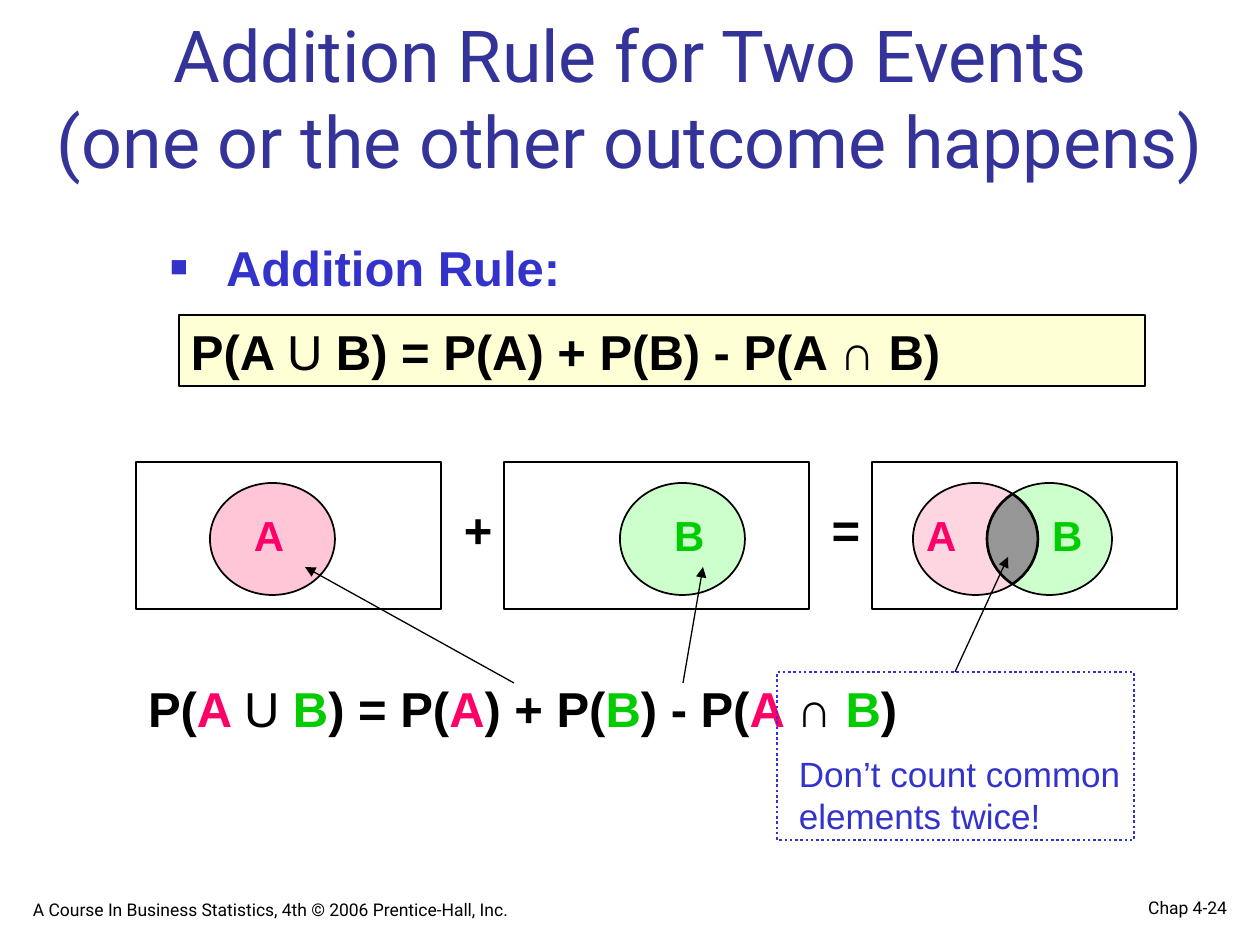
import math

from lxml import etree
from pptx import Presentation
from pptx.dml.color import RGBColor
from pptx.enum.dml import MSO_LINE
from pptx.enum.shapes import MSO_CONNECTOR, MSO_SHAPE
from pptx.enum.text import MSO_ANCHOR, MSO_AUTO_SIZE, PP_ALIGN
from pptx.oxml.ns import qn
from pptx.util import Emu, Pt

STRAIGHT = MSO_CONNECTOR.STRAIGHT
RECT, OVAL = MSO_SHAPE.RECTANGLE, MSO_SHAPE.OVAL
DOTTED = MSO_LINE.ROUND_DOT
TOP, BOTTOM = MSO_ANCHOR.TOP, MSO_ANCHOR.BOTTOM
LEFT, CENTER, RIGHT = PP_ALIGN.LEFT, PP_ALIGN.CENTER, PP_ALIGN.RIGHT

BLACK = RGBColor(0x00, 0x00, 0x00)
NAVY = RGBColor(0x33, 0x33, 0x99)
BLUE = RGBColor(0x33, 0x33, 0xCC)
CREAM = RGBColor(0xFF, 0xFF, 0xD5)
PINK = RGBColor(0xFE, 0xC6, 0xD6)
MINT = RGBColor(0xCC, 0xFF, 0xCC)
GRAY = RGBColor(0x96, 0x96, 0x96)
RED = RGBColor(0xFF, 0x00, 0x66)
GREEN = RGBColor(0x00, 0xCC, 0x00)

EVENT_W, EVENT_H = 125, 112
EVENT_TOP, LABEL_TOP = 21, 42
FRAME_W, FRAME_H, FRAME_STEP = 305, 147, 368


def px(length):
    return Emu(round(length * 914400 / 126))


def place(shape, box):
    shape.left, shape.top, shape.width, shape.height = map(px, box)


def add_run(paragraph, words, size, color, bold=False, face="Arial"):
    run = paragraph.add_run()
    run.text = words
    run.font.size = Pt(size)
    run.font.name = face
    run.font.bold = bold
    run.font.color.rgb = color


def set_frame(shape, anchor=TOP, wrap=True, side=12):
    frame = shape.text_frame
    frame.word_wrap = wrap
    frame.auto_size = MSO_AUTO_SIZE.NONE
    frame.vertical_anchor = anchor
    frame.margin_left = frame.margin_right = px(side)
    frame.margin_top = frame.margin_bottom = px(6)
    return frame.paragraphs[0]


def add_words(slide, box, words, size, color, bold=False, face="Arial",
              align=LEFT, anchor=TOP, wrap=True):
    paragraph = set_frame(slide.shapes.add_textbox(*map(px, box)), anchor, wrap)
    paragraph.alignment = align
    add_run(paragraph, words, size, color, bold, face)


def style(shape, fill, weight, line=BLACK):
    shape.shadow.inherit = False
    if fill is None:
        shape.fill.background()
    else:
        shape.fill.solid()
        shape.fill.fore_color.rgb = fill
    shape.line.color.rgb = line
    shape.line.width = Pt(weight)


def add_outline(slide, kind, box, fill=None, weight=1.5, line=BLACK):
    shape = slide.shapes.add_shape(kind, *map(px, box))
    style(shape, fill, weight, line)
    return shape


def add_arrow(slide, start, end):
    arrow = slide.shapes.add_connector(STRAIGHT, *map(px, start + end))
    arrow.line.color.rgb = BLACK
    arrow.line.width = Pt(0.75)
    etree.SubElement(arrow.line._get_or_add_ln(), qn("a:tailEnd"), type="triangle")
    etree.SubElement(arrow._element.spPr, qn("a:effectLst"))


def add_title(slide, box):
    title = slide.shapes.title
    place(title, box)
    paragraph = set_frame(title, BOTTOM)
    paragraph.alignment = CENTER
    add_run(paragraph, "Addition Rule for Two Events", 41, NAVY, face="Roboto")
    paragraph.add_line_break()
    add_run(paragraph, "(one or the other outcome happens)", 41, NAVY, face="Roboto")


def add_rule(slide, box):
    left, top, width, height = box
    heading = slide.placeholders[1]
    place(heading, (left, top, width, height))
    paragraph = set_frame(heading)
    properties = paragraph._p.get_or_add_pPr()
    properties.set("marL", str(px(56)))
    properties.set("indent", str(-px(56)))
    bullet_color = etree.SubElement(properties, qn("a:buClr"))
    etree.SubElement(bullet_color, qn("a:srgbClr"), val=str(BLUE))
    etree.SubElement(properties, qn("a:buSzPct"), val="60000")
    etree.SubElement(properties, qn("a:buFont"), typeface="Arial")
    etree.SubElement(properties, qn("a:buChar"), char="■")
    paragraph.space_before = Pt(0)
    add_run(paragraph, "Addition Rule:", 28, BLUE, True)

    formula = add_outline(slide, RECT, (left + 21, top + 84, width, 71), CREAM, 0.75)
    paragraph = set_frame(formula)
    paragraph.alignment = LEFT
    for words, bold in (("P(A ", True), ("U", False),
                        (" B) = P(A) + P(B) - P(A ∩ B)", True)):
        add_run(paragraph, words, 28, BLACK, bold)


def add_event(slide, left, top, fill, opacity=100):
    event = add_outline(slide, OVAL, (left, top, EVENT_W, EVENT_H), fill, 1)
    if opacity < 100:
        color = event.fill._xPr.find(qn("a:solidFill"))[0]
        etree.SubElement(color, qn("a:alpha"), val=str(opacity * 1000))


def add_overlap(slide, left_event, right_event, top):
    rx, ry = EVENT_W / 2, EVENT_H / 2
    reach = math.acos((right_event - left_event) / EVENT_W)
    steps = 16
    angles = [reach * (2 * i / steps - 1) for i in range(steps + 1)]
    points = [(left_event + rx + rx * math.cos(a), top + ry + ry * math.sin(a))
              for a in angles]
    points += [(right_event + rx - rx * math.cos(a), top + ry - ry * math.sin(a))
               for a in angles[1:-1]]
    corners = [(px(x), px(y)) for x, y in points]
    builder = slide.shapes.build_freeform(*corners[0])
    builder.add_line_segments(corners[1:], close=True)
    style(builder.convert_to_shape(), GRAY, 1.5)


def add_label(slide, left, top, name):
    color = RED if name == "A" else GREEN
    add_words(slide, (left, top, 55, 63), name, 24, color, True, wrap=False)


def add_venn_row(slide, left, top):
    frames = [left + FRAME_STEP * i for i in range(3)]
    for frame in frames:
        add_outline(slide, RECT, (frame, top, FRAME_W, FRAME_H))
    for frame, sign in zip(frames, "+="):
        add_words(slide, (frame + 315, top + 32, 54, 71), sign, 28, BLACK, True,
                  align=CENTER, wrap=False)

    only_a, only_b, both = frames
    event_top = top + EVENT_TOP
    add_event(slide, only_a + 74, event_top, PINK)
    add_event(slide, only_b + 116, event_top, MINT)
    add_event(slide, both + 115, event_top, MINT)
    add_event(slide, both + 41, event_top, PINK, 70)
    add_overlap(slide, both + 41, both + 115, event_top)
    for label_left, name in ((only_a + 106, "A"), (only_b + 158, "B"),
                             (both + 42, "A"), (both + 168, "B")):
        add_label(slide, label_left, top + LABEL_TOP, name)


def add_colored_formula(slide, box):
    paragraph = set_frame(slide.shapes.add_textbox(*map(px, box)))
    for words in ("P(", "A ", "U ", "B", ") = P(", "A", ") + P(", "B",
                  ") - P(", "A ", "∩ ", "B", ")"):
        color = {"A": RED, "B": GREEN}.get(words.strip(), BLACK)
        add_run(paragraph, words, 28, color, words != "U ")


def add_note(slide, box):
    left, top, width, height = box
    add_words(slide, (left + 10, top + 74, width + 11, 96),
              "Don’t count common elements twice!", 20, BLUE)
    border = add_outline(slide, RECT, box, line=BLUE)
    border.line.dash_style = DOTTED


def add_footer(slide, top):
    add_words(slide, (21, top, 640, 44),
              "A Course In Business Statistics, 4th © 2006 Prentice-Hall, Inc.",
              10, BLACK, face="Roboto", anchor=BOTTOM)
    add_words(slide, (977, top, 262, 42), "Chap 4-24", 10, BLACK,
              face="Roboto", align=RIGHT, anchor=BOTTOM)


def main():
    deck = Presentation()
    deck.slide_width, deck.slide_height = px(1260), px(945)
    slide = deck.slides.add_slide(deck.slide_layouts[1])
    add_title(slide, (31, 73, 1200, 116))
    add_rule(slide, (158, 231, 966, 71))
    add_venn_row(slide, 136, 462)
    add_colored_formula(slide, (136, 672, 1050, 71))
    add_note(slide, (777, 672, 357, 168))
    for start, end in (((514, 683), (305, 567)), ((683, 683), (703, 567)),
                       ((955, 672), (1008, 557))):
        add_arrow(slide, start, end)
    add_footer(slide, 882)
    deck.save("out.pptx")


if __name__ == "__main__":
    main()
